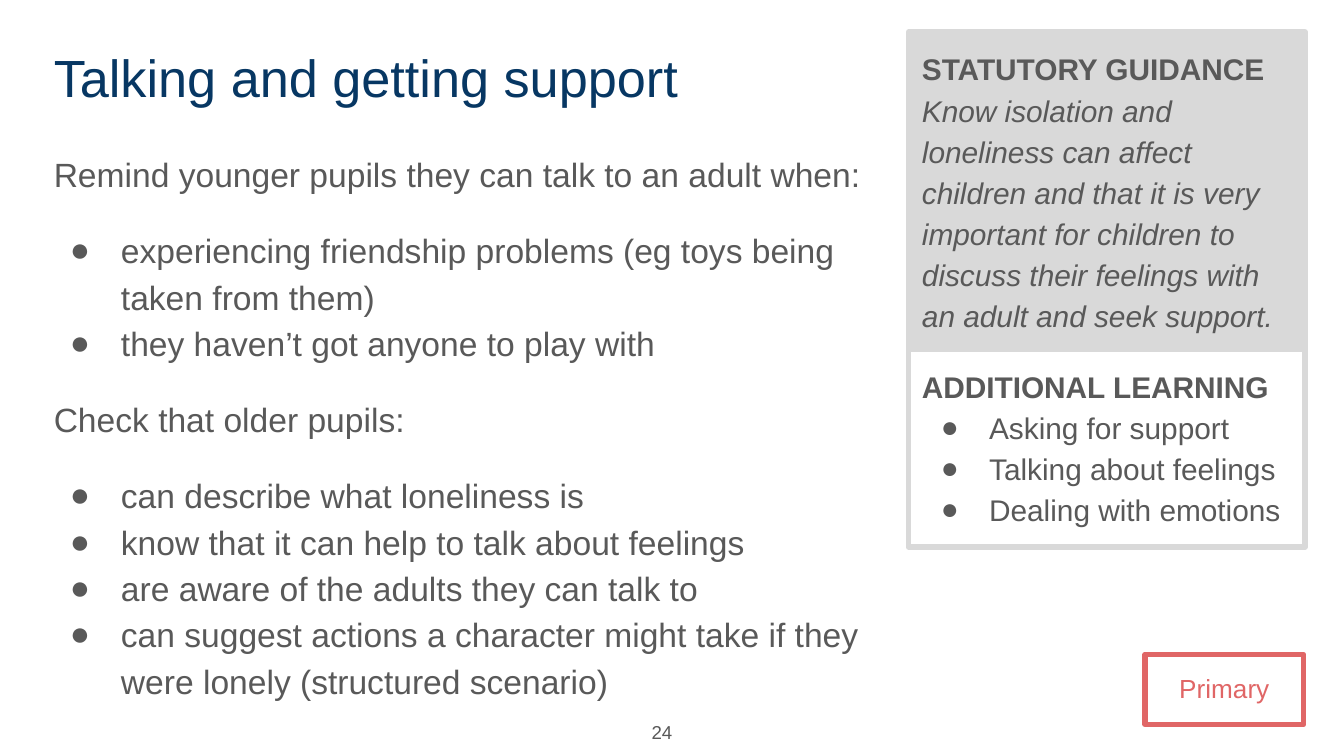
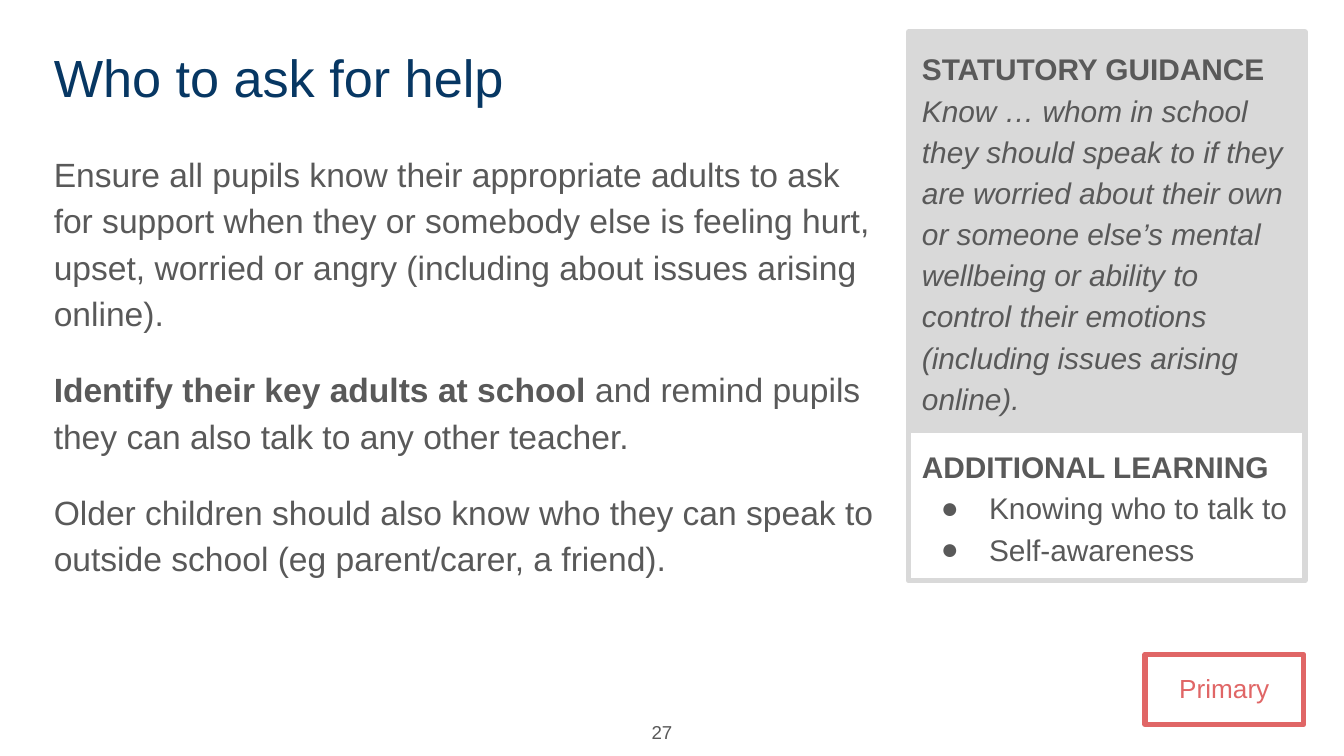
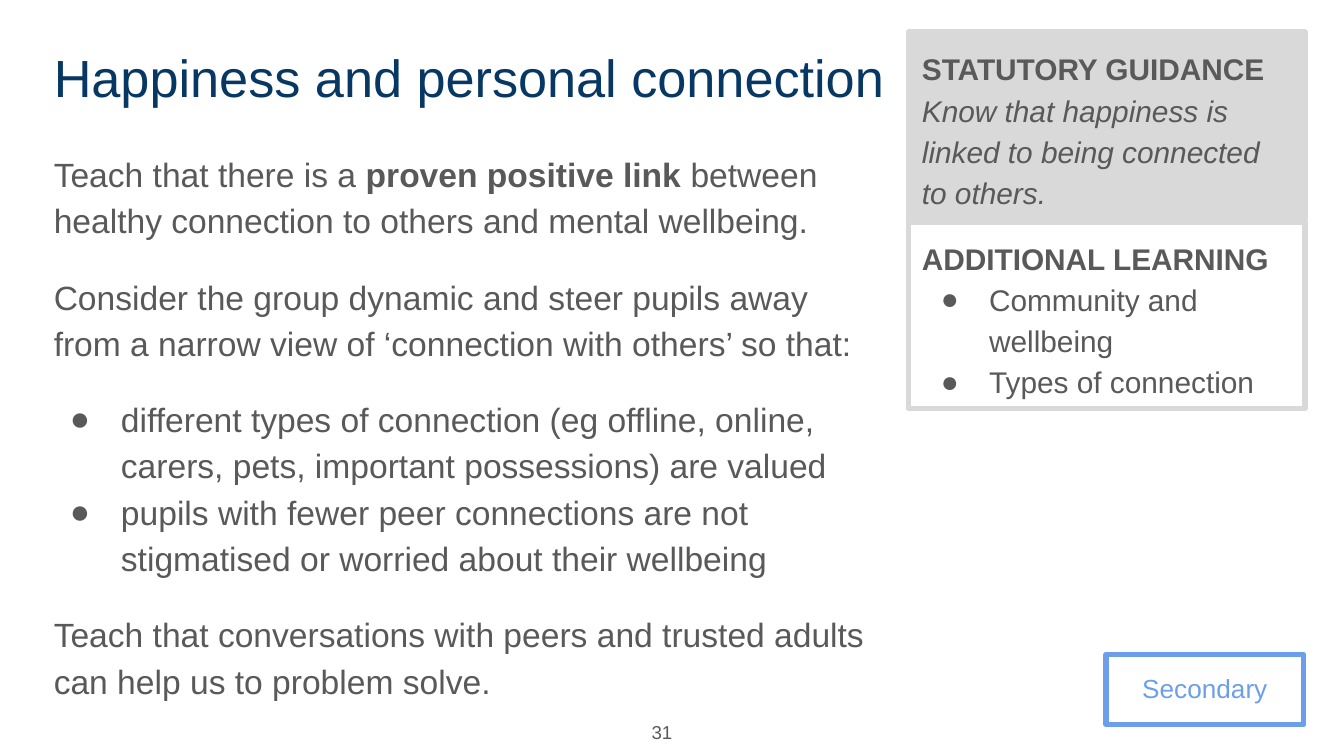
from lxml import etree
from pptx import Presentation
from pptx import util as u
from pptx.dml import color
from pptx.enum import text
from pptx.oxml import ns

FONT = "Arial"
NAVY, GREY, SILVER = "073763", "595959", "D9D9D9"
STAGES = {"Primary": ("E06666", 1.18), "Secondary": ("6D9EEB", 1.47)}
SLIDE_WIDTH = 10
SLIDE_HEIGHT = SLIDE_WIDTH * 9 / 16
COMPARISON_LAYOUT = 4
GUIDANCE, BODY, LEARNING, BADGE = 1, 2, 3, 4
SIDE_LEFT, SIDE_TOP, SIDE_WIDTH = 6.76, 0.24, 2.95
RIGHT_EDGE = 9.7

SLIDES = [
    {
        "title": "Talking and getting support",
        "body": [
            "Remind younger pupils they can talk to an adult when:",
            "● experiencing friendship problems (eg toys being taken from them)",
            "● they haven’t got anyone to play with",
            "Check that older pupils:",
            "● can describe what loneliness is",
            "● know that it can help to talk about feelings",
            "● are aware of the adults they can talk to",
            "● can suggest actions a character might take if they were lonely "
            "(structured scenario)",
        ],
        "heading": "STATUTORY GUIDANCE\n",
        "guidance": "Know isolation and loneliness can affect children and that it is very "
                    "important for children to discuss their feelings with an adult and "
                    "seek support.",
        "guidance_height": 2.36,
        "learning": ["Asking for support", "Talking about feelings", "Dealing with emotions"],
        "learning_box": (2.6, 1.47),
        "stage": "Primary",
        "number": "24",
    },
    {
        "title": "Who to ask for help",
        "body": [
            "Ensure all pupils know their appropriate adults to ask for support when they or "
            "somebody else is feeling hurt, upset, worried or angry (including about issues "
            "arising online).",
            "**Identify their key adults at school** and remind pupils they can also talk to "
            "any other teacher.",
            "Older children should also know who they can speak to outside school "
            "(eg parent/carer, a friend).",
        ],
        "heading": "STATUTORY GUIDANCE ",
        "guidance": "Know … whom in school they should speak to if they are worried about "
                    "their own or someone else’s mental wellbeing or ability to control "
                    "their emotions (including issues arising online).",
        "guidance_height": 2.96,
        "learning": ["Knowing who to talk to", "Self-awareness"],
        "learning_box": (3.2, 1.12),
        "stage": "Primary",
        "number": "27",
    },
    {
        "title": "Happiness and personal connection",
        "body": [
            "Teach that there is a **proven positive link** between healthy connection to "
            "others and mental wellbeing.",
            "Consider the group dynamic and steer pupils away from a narrow view of "
            "‘connection with others’ so that:",
            "● different types of connection (eg offline, online, carers, pets, important "
            "possessions) are valued",
            "● pupils with fewer peer connections are not stigmatised or worried about "
            "their wellbeing",
            "Teach that conversations with peers and trusted adults can help us to problem "
            "solve.",
        ],
        "heading": "STATUTORY GUIDANCE \n",
        "guidance": "Know that happiness is linked to being connected to others.",
        "guidance_height": 1.39,
        "learning": ["Community and wellbeing", "Types of connection"],
        "learning_box": (1.65, 1.39),
        "stage": "Secondary",
        "number": "31",
    },
]


def rgb(value):
    """Turn a hex string into a colour."""
    return color.RGBColor.from_string(value)


def apply(target, values):
    """Set each named attribute on the target."""
    for name, value in values.items():
        setattr(target, name, value)


def prepare(shape, box, anchor=text.MSO_ANCHOR.TOP):
    """Place a shape and return its text frame with even margins."""
    apply(shape, dict(zip(("left", "top", "width", "height"), map(u.Inches, box))))
    frame = shape.text_frame
    margins = dict.fromkeys(
        ("margin_left", "margin_top", "margin_right", "margin_bottom"), u.Inches(0.1))
    apply(frame, {"word_wrap": True, "auto_size": text.MSO_AUTO_SIZE.NONE,
                  "vertical_anchor": anchor, **margins})
    return frame


def outline(shape, line, fill=None):
    """Give a shape a thick outline and an optional fill."""
    shape.line.color.rgb = rgb(line)
    shape.line.width = u.Pt(3)
    if fill:
        shape.fill.solid()
        shape.fill.fore_color.rgb = rgb(fill)


def add_run(paragraph, words, size, colour=GREY, bold=False, italic=False):
    """Append one formatted run."""
    run = paragraph.add_run()
    run.text = words
    apply(run.font, {"name": FONT, "size": u.Pt(size), "bold": bold, "italic": italic})
    run.font.color.rgb = rgb(colour)


def add_paragraph(frame, first=False, before=0, hanging=0, spacing=1.15,
                  align=text.PP_ALIGN.LEFT):
    """Return a spaced paragraph, bulleted when it has a hanging indent."""
    paragraph = frame.paragraphs[0] if first else frame.add_paragraph()
    apply(paragraph, {"line_spacing": spacing, "space_before": u.Pt(before),
                      "space_after": u.Pt(0), "alignment": align})
    properties = paragraph._p.get_or_add_pPr()
    properties.set("marL", str(u.Inches(0.5 if hanging else 0)))
    properties.set("indent", str(u.Inches(-hanging)))
    if hanging:
        tint = etree.SubElement(properties, ns.qn("a:buClr"))
        etree.SubElement(tint, ns.qn("a:srgbClr"), val=GREY)
        etree.SubElement(properties, ns.qn("a:buFont"), typeface=FONT)
        etree.SubElement(properties, ns.qn("a:buChar"), char="●")
    else:
        etree.SubElement(properties, ns.qn("a:buNone"))
    return paragraph


def add_title(shape, words):
    """Write the slide title."""
    frame = prepare(shape, (0.3, 0.24, 6.6, 0.63))
    add_run(add_paragraph(frame, True, spacing=1.0), words, 28, NAVY)


def add_body(shape, lines):
    """Write the main text, with a gap around each list and paragraph."""
    frame = prepare(shape, (0.3, 1, 6.32, 4.12))
    in_list = False
    for index, line in enumerate(lines):
        bulleted = line.startswith("● ")
        gap = 0 if index == 0 or (bulleted and in_list) else 16
        paragraph = add_paragraph(frame, index == 0, gap, 0.38 if bulleted else 0)
        for part, words in enumerate(line.removeprefix("● ").split("**")):
            if words:
                add_run(paragraph, words, 18, bold=part % 2 == 1)
        in_list = bulleted


def add_guidance(shape, heading, words, height):
    """Write the shaded statutory guidance panel."""
    frame = prepare(shape, (SIDE_LEFT, SIDE_TOP, SIDE_WIDTH, height))
    outline(shape, SILVER, SILVER)
    paragraph = add_paragraph(frame, True)
    add_run(paragraph, heading.removesuffix("\n"), 16, bold=True)
    if heading.endswith("\n"):
        paragraph.add_line_break()
        etree.SubElement(paragraph._p[-1], ns.qn("a:rPr"), sz="1600")
    add_run(paragraph, words, 16, italic=True)


def add_learning(shape, items, top, height):
    """Write the outlined list of additional learning."""
    frame = prepare(shape, (SIDE_LEFT, top, SIDE_WIDTH, height))
    outline(shape, SILVER)
    add_run(add_paragraph(frame, True), "ADDITIONAL LEARNING", 16, bold=True)
    for item in items:
        add_run(add_paragraph(frame, hanging=0.36), item, 16)


def add_badge(shape, stage):
    """Write the school stage in its coloured frame."""
    colour, width = STAGES[stage]
    frame = prepare(shape, (RIGHT_EDGE - width, 4.87, width, 0.52))
    outline(shape, colour)
    paragraph = add_paragraph(frame, True, align=text.PP_ALIGN.CENTER)
    add_run(paragraph, stage, 14, colour)


def add_number(slide, number):
    """Write the page number at the foot."""
    shape = slide.shapes.add_textbox(0, 0, 0, 0)
    frame = prepare(shape, (4.59, 5.26, 0.51, 0.37), text.MSO_ANCHOR.MIDDLE)
    paragraph = add_paragraph(frame, True, spacing=1.0, align=text.PP_ALIGN.RIGHT)
    add_run(paragraph, number, 10)


def add_slide(presentation, content):
    """Build one guidance slide."""
    slide = presentation.slides.add_slide(presentation.slide_layouts[COMPARISON_LAYOUT])
    holders = slide.placeholders
    add_title(slide.shapes.title, content["title"])
    add_body(holders[BODY], content["body"])
    add_guidance(holders[GUIDANCE], content["heading"], content["guidance"],
                 content["guidance_height"])
    add_learning(holders[LEARNING], content["learning"], *content["learning_box"])
    add_badge(holders[BADGE], content["stage"])
    add_number(slide, content["number"])


def main():
    """Build and save the presentation."""
    presentation = Presentation()
    presentation.slide_width = u.Inches(SLIDE_WIDTH)
    presentation.slide_height = u.Inches(SLIDE_HEIGHT)
    for content in SLIDES:
        add_slide(presentation, content)
    presentation.save("out.pptx")


if __name__ == "__main__":
    main()
